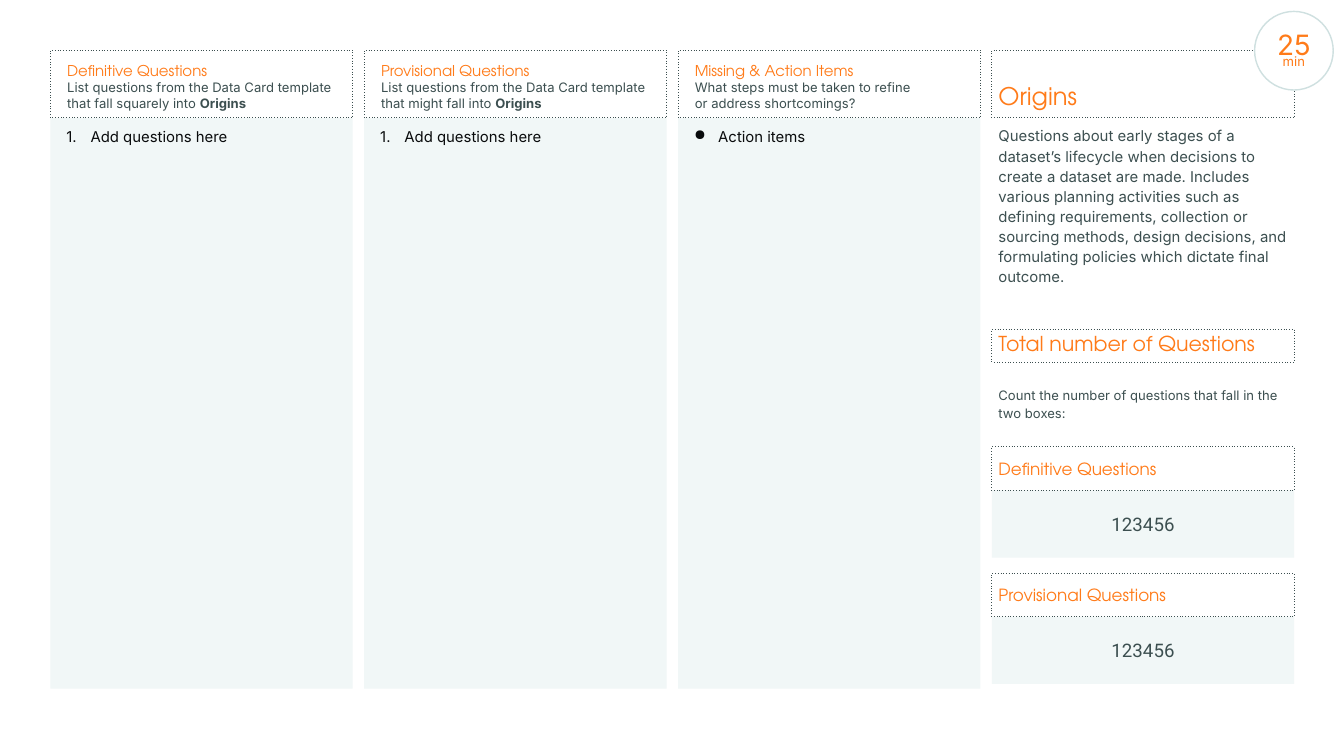
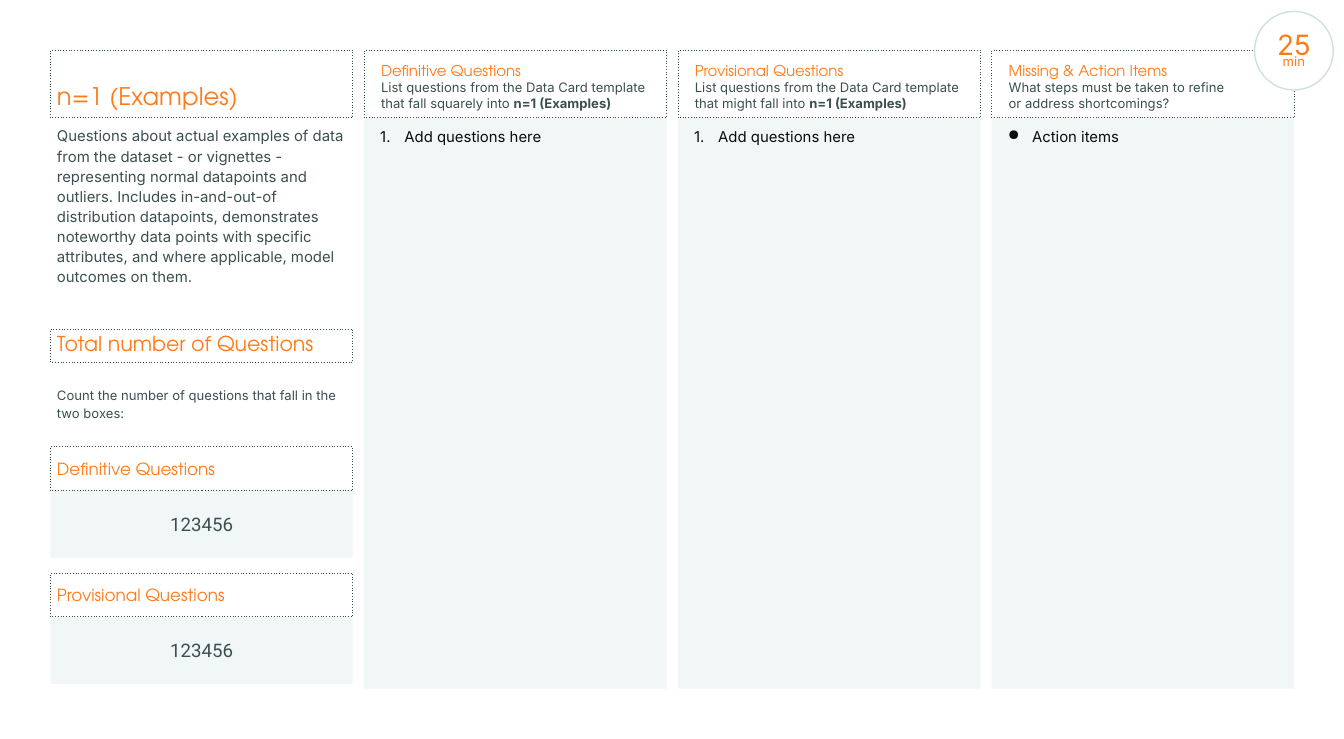
from lxml import etree
from pptx import Presentation
from pptx.dml.color import RGBColor
from pptx.enum.shapes import MSO_SHAPE
from pptx.enum.text import MSO_ANCHOR, PP_ALIGN
from pptx.oxml.ns import qn
from pptx.util import Pt

RECT, OVAL = MSO_SHAPE.RECTANGLE, MSO_SHAPE.OVAL
TOP, MID, LOW = MSO_ANCHOR.TOP, MSO_ANCHOR.MIDDLE, MSO_ANCHOR.BOTTOM
LEFT, MIDST = PP_ALIGN.LEFT, PP_ALIGN.CENTER
PX = 9144  # 100 px to the inch


class Theme:
    ink, black, orange = "3C4F50", "090B0C", "FF7B19"
    pale, ring, white = "F1F7F7", "CFE0E0", "FFFFFF"
    head, sans, digit = "TeX Gyre Adventor", "Inter", "Roboto"
    # text styles: font, size, colour
    title = (head, 26, orange)
    total = (head, 22, orange)
    label = (head, 18, orange)
    lead = (head, 16, orange)
    body = (sans, 16, ink)
    note = (sans, 14, ink)
    item = (sans, 16, black)
    count = (digit, 20, ink)
    time = (sans, 30, orange)
    unit = (sans, 14, orange)


def box(slide, x, y, w, h, fill=None, edge=None, kind=RECT, anchor=TOP, side=10):
    """Place a shape, or a text box if it has no fill and no edge; return its frame."""
    area = [n * PX for n in (x, y, w, h)]
    if fill or edge:
        shape = slide.shapes.add_shape(kind, *area)
        shape.shadow.inherit = False
        if fill:
            shape.fill.solid()
            shape.fill.fore_color.rgb = RGBColor.from_string(fill)
        else:
            shape.fill.background()
        if edge:
            shape.line.color.rgb = RGBColor.from_string(edge)
            shape.line.width = Pt(1.5 if kind == OVAL else 0.75)
            if kind == RECT:
                line = shape._element.spPr.find(qn("a:ln"))
                etree.SubElement(line, qn("a:prstDash"), val="dot")
        else:
            shape.line.fill.background()
    else:
        shape = slide.shapes.add_textbox(*area)
    frame = shape.text_frame
    frame.word_wrap = True
    frame.vertical_anchor = anchor
    frame.margin_left = frame.margin_right = side * PX
    frame.margin_top = frame.margin_bottom = 10 * PX
    return frame


def write(frame, text, *styles, align=LEFT, space=None, bold=""):
    """Fill a frame and give its runs the styles in order; bold is a closing run."""
    frame.text = text
    if bold:
        frame.paragraphs[0].add_run().text = bold
    runs = []
    for para in frame.paragraphs:
        para.alignment = align
        if space:
            para.line_spacing = space
        for gap in para._p.findall(qn("a:br")):
            etree.SubElement(gap, qn("a:rPr"), sz="1400")
        runs += para.runs
    for run, (face, size, color) in zip(runs, styles):
        run.font.name = face
        run.font.size = Pt(size)
        run.font.color.rgb = RGBColor.from_string(color)
    if bold:
        runs[-1].font.bold = True


T = Theme
WIDE, FIRST, STEP = 450, 75, 467
ASK = "List questions from the Data Card template that "
LISTS = [
    ("Definitive Questions", ASK + "fall squarely into ", True),
    ("Provisional Questions", ASK + "might fall into ", True),
    ("Missing & Action Items",
     "What steps must be taken to refine \vor address shortcomings?", False),
]
COUNTS = [("Definitive Questions", 665), ("Provisional Questions", 853)]

# topic, column of the summary, columns of the lists, description
PAGES = [
    ("Origins", 3, (0, 1, 2),
     "Questions about early stages of a dataset’s lifecycle when decisions to "
     "create a dataset are made. Includes various planning activities such as "
     "defining requirements, collection or sourcing methods, design decisions, "
     "and formulating policies which dictate final outcome."),
    ("n=1 (Examples)", 0, (1, 2, 3),
     "Questions about actual examples of data from the dataset - or vignettes - "
     "representing normal datapoints and outliers. Includes in-and-out-of "
     "distribution datapoints, demonstrates noteworthy data points with specific "
     "attributes, and where applicable, model outcomes on them."),
]

deck = Presentation()
deck.slide_width, deck.slide_height = 2000 * PX, 1100 * PX

for topic, main, cols, about in PAGES:
    slide = deck.slides.add_slide(deck.slide_layouts[6])

    # Question lists
    for col, (name, hint, asks) in zip(cols, LISTS):
        x = FIRST + col * STEP
        frame = box(slide, x, 176, WIDE, 849, fill=T.pale)
        write(frame, "Add questions here" if asks else "Action items",
              T.item, space=1.12)
        props = frame.paragraphs[0]._p.get_or_add_pPr()
        props.set("marL", str(50 * PX))
        props.set("indent", str(-36 * PX))
        tint = etree.SubElement(props, qn("a:buClr"))
        etree.SubElement(tint, qn("a:srgbClr"), val=T.black)
        if asks:
            etree.SubElement(props, qn("a:buAutoNum"), type="arabicPeriod")
        else:
            etree.SubElement(props, qn("a:buChar"), char="●")

        frame = box(slide, x, 75, WIDE, 100, edge=T.ink, anchor=LOW, side=25)
        write(frame, f"{name} \v{hint}", T.lead, T.note, T.note,
              bold=topic if asks else "")

    # Summary column
    x = FIRST + main * STEP
    write(box(slide, x, 75, WIDE, 100, edge=T.ink, anchor=LOW), topic, T.title)
    write(box(slide, x, 176, WIDE, 290), about, T.body, space=1.12)
    write(box(slide, x, 490, WIDE, 49, edge=T.ink, anchor=LOW),
          "Total number of Questions", T.total)
    write(box(slide, x, 538, WIDE, 125, anchor=MID),
          "Count the number of questions that fall in the two boxes:",
          T.note, space=1.15)
    for name, y in COUNTS:
        write(box(slide, x, y + 65, WIDE, 100, fill=T.pale, anchor=MID),
              "123456", T.count, align=MIDST)
        write(box(slide, x, y, WIDE, 65, edge=T.ink, anchor=MID), name, T.label)

    # Time badge
    frame = box(slide, 1867, 17, 117, 117, fill=T.white, edge=T.ring,
                kind=OVAL, anchor=MID)
    frame.margin_top = 20 * PX
    write(frame, "25\nmin", T.time, T.unit, align=MIDST, space=0.6)

deck.save("out.pptx")
